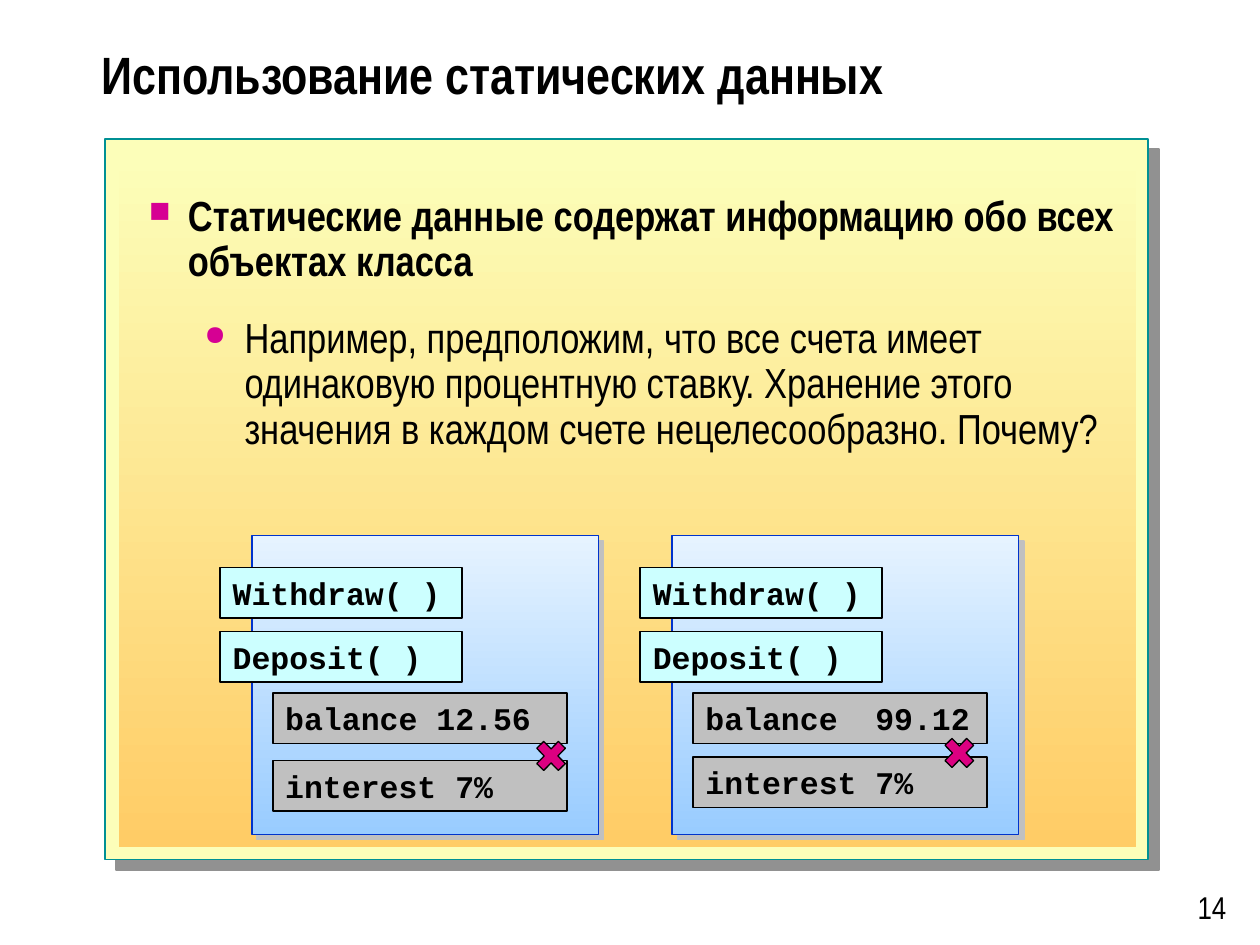
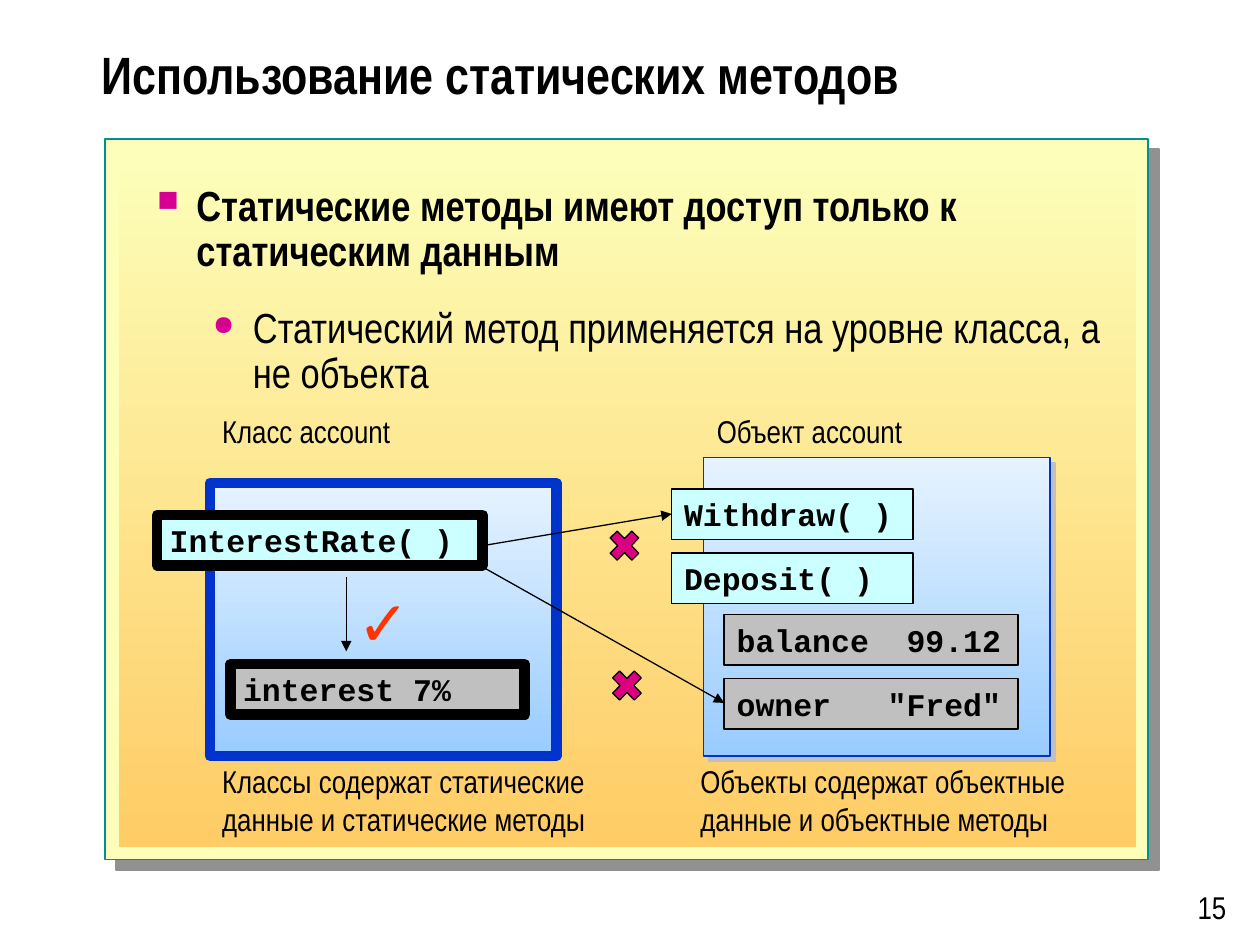
from lxml import etree
from pptx import Presentation, util as u
from pptx.dml.color import RGBColor
from pptx.enum import shapes, text
from pptx.oxml.ns import qn

COLORS = {
    "black": "000000", "panel": "FCFEB9", "panel_end": "FFCC66",
    "panel_line": "009094", "panel_shadow": "919191", "bullet": "D60093",
    "card": "E6F3FF", "card_end": "99CCFF", "card_line": "0033CC",
    "card_shadow": "C0C0C0", "method": "CCFFFF", "data": "C0C0C0",
    "cross": "DC0081", "check": "FF3300",
}
NARROW, MONO = "Arial Narrow", "Courier New"
ROW_HEIGHT, ROW_PITCH = 1.02, 1.29
METHOD_WIDTH, DATA_WIDTH = 4.87, 5.93
DATA_LEFT = 0.42
VALUE_TAB = 5.33
CARD_WIDTH, CARD_HEIGHT, CLASS_HEIGHT = 6.99, 6.02, 5.5


def rgb(name):
    return RGBColor.from_string(COLORS[name])


def lengths(*values):
    return [u.Cm(value) for value in values]


def add_element(parent, tag, **attributes):
    return etree.SubElement(parent, qn(tag), attributes)


def style_paragraph(paragraph, size, font=NARROW, bold=False, color="black"):
    paragraph.font.name = font
    paragraph.font.size = u.Pt(size)
    paragraph.font.bold = bold
    paragraph.font.color.rgb = rgb(color)


def add_box(slide, box, fill, line=None, width=1, gradient_end=None,
            shadow=None, kind=shapes.MSO_SHAPE.RECTANGLE):
    shape = slide.shapes.add_shape(kind, *lengths(*box))
    shape.shadow.inherit = False
    if gradient_end:
        shape.fill.gradient()
        shape.fill.gradient_angle = 270
        for stop, name in zip(shape.fill.gradient_stops, (fill, gradient_end)):
            stop.color.rgb = rgb(name)
    else:
        shape.fill.solid()
        shape.fill.fore_color.rgb = rgb(fill)
    if line:
        shape.line.color.rgb = rgb(line)
        shape.line.width = u.Pt(width)
    else:
        shape.line.fill.background()
    if shadow:
        name, distance = shadow
        effects = shape._element.spPr.find(qn("a:effectLst"))
        outer = add_element(effects, "a:outerShdw", blurRad="0", dist=str(u.Pt(distance)),
                            dir="2700000", algn="ctr", rotWithShape="0")
        add_element(outer, "a:srgbClr", val=COLORS[name])
    return shape


def add_text(slide, box, lines, size=18, font=NARROW, bold=False, color="black",
             align=None, wrap=False):
    frame = slide.shapes.add_textbox(*lengths(*box)).text_frame
    frame.word_wrap = wrap
    frame.text = "\n".join(lines)
    for paragraph in frame.paragraphs:
        paragraph.alignment = align
        style_paragraph(paragraph, size, font, bold, color)
    return frame


def add_bullet(paragraph, symbol, percent, left, hanging):
    properties = paragraph._p.get_or_add_pPr()
    properties.set("marL", str(u.Cm(left)))
    properties.set("indent", str(-u.Cm(hanging)))
    add_element(add_element(properties, "a:buClr"), "a:srgbClr", val=COLORS["bullet"])
    add_element(properties, "a:buSzPct", val=str(percent * 1000))
    add_element(properties, "a:buChar", char=symbol)


def add_body(slide, box, statement, detail):
    frame = slide.shapes.add_textbox(*lengths(*box)).text_frame
    frame.word_wrap = True
    frame.text = f"{statement}\n{detail}"
    first, second = frame.paragraphs
    add_bullet(first, "■", 70, 0.79, 0.79)
    add_bullet(second, "●", 65, 1.93, 0.81)
    second.space_before = u.Pt(18)
    for paragraph in (first, second):
        paragraph.line_spacing = 0.9
        style_paragraph(paragraph, 24, bold=paragraph is first)


def add_frame(presentation, title, number):
    slide = presentation.slides.add_slide(presentation.slide_layouts[6])
    add_box(slide, (2.12, 2.8, 21.03, 14.53), "panel", "panel_line",
            shadow=("panel_shadow", 8.5))
    add_box(slide, (2.4, 3.1, 20.5, 13.97), "panel", gradient_end="panel_end")
    heading = add_text(slide, (1.8, 0.43, 22.76, 2.34), [title], 30, bold=True, wrap=True)
    heading.vertical_anchor = text.MSO_ANCHOR.MIDDLE
    heading.paragraphs[0].line_spacing = 0.8
    add_text(slide, (22.86, 17.78, 2.11, 1.02), [str(number)],
             align=text.PP_ALIGN.RIGHT, wrap=True)
    return slide


def add_member(slide, left, top, width, label, fill, line_width=1):
    shape = add_box(slide, (left, top, width, ROW_HEIGHT), fill, "black", line_width)
    frame = shape.text_frame
    frame.word_wrap = True
    frame.vertical_anchor = text.MSO_ANCHOR.TOP
    frame.text = label
    paragraph = frame.paragraphs[0]
    paragraph.alignment = text.PP_ALIGN.LEFT
    if "\t" in label:
        tabs = add_element(paragraph._p.get_or_add_pPr(), "a:tabLst")
        add_element(tabs, "a:tab", pos=str(u.Cm(VALUE_TAB)), algn="r")
    style_paragraph(paragraph, 18, MONO, True)


def add_object_card(slide, left, top, data, data_pitch=ROW_PITCH):
    add_box(slide, (left, top, CARD_WIDTH, CARD_HEIGHT), "card", "card_line", 0.75,
            "card_end", ("card_shadow", 4.2))
    for row, label in enumerate(("Withdraw( )", "Deposit( )")):
        add_member(slide, left - 0.64, top + 0.64 + row * ROW_PITCH,
                   METHOD_WIDTH, label, "method")
    for row, label in enumerate(data):
        add_member(slide, left + DATA_LEFT, top + 3.17 + row * data_pitch,
                   DATA_WIDTH, label, "data")


def add_class_card(slide, left, top):
    add_box(slide, (left, top, CARD_WIDTH, CLASS_HEIGHT), "card", "card_line", 6, "card_end")
    add_member(slide, left - 1.06, top + 0.64, 6.56, "InterestRate( )", "method", 6)
    add_member(slide, left + DATA_LEFT, top + 3.65, DATA_WIDTH, "interest 7%", "data", 6)
    add_text(slide, (left + 2.73, top + 1.9, 1.55, 1.78), ["✓"], 36, "Arial", color="check")


def add_cross(slide, left, top):
    add_box(slide, (left, top, 0.84, 0.86), "cross", "black", 0.75,
            kind=shapes.MSO_SHAPE.MATH_MULTIPLY)


def add_arrow(slide, *ends):
    connector = slide.shapes.add_connector(shapes.MSO_CONNECTOR.STRAIGHT, *lengths(*ends))
    connector.line.color.rgb = rgb("black")
    connector.line.width = u.Pt(0.75)
    properties = connector._element.spPr
    add_element(properties.find(qn("a:ln")), "a:tailEnd", type="triangle")
    add_element(properties, "a:effectLst")


def build_static_data(presentation):
    slide = add_frame(presentation, "Использование статических данных", 14)
    add_body(slide, (2.75, 3.81, 20.57, 13.26),
             "Статические данные содержат информацию обо всех объектах класса",
             "Например, предположим, что все счета имеет одинаковую процентную ставку. "
             "Хранение этого значения в каждом счете нецелесообразно. Почему?")
    top = 10.8
    add_object_card(slide, 5.08, top, ("balance 12.56", "interest 7%"), 1.36)
    add_object_card(slide, 13.55, top, ("balance\t99.12", "interest 7%"))
    add_cross(slide, 10.69, top + 4.01)
    add_cross(slide, 18.92, top + 3.95)


def build_static_methods(presentation):
    slide = add_frame(presentation, "Использование статических методов", 15)
    add_body(slide, (2.92, 3.6, 20, 13.46),
             "Статические методы имеют доступ только к статическим данным",
             "Статический метод применяется на уровне класса, а не объекта")
    add_class_card(slide, 4.23, 9.74)
    add_object_card(slide, 14.18, 9.22, ("balance\t99.12", 'owner\t"Fred"'))
    for left, label in ((4.23, "Класс account"), (14.2, "Объект account")):
        add_text(slide, (left, 8.18, 4.4, 1.02), [label])
    notes = (
        (4.23, "Классы содержат статические", "данные и статические методы"),
        (13.87, "Объекты содержат объектные", "данные и объектные методы"),
    )
    for left, *lines in notes:
        add_text(slide, (left, 15.24, 8.05, 1.78), lines)
    add_arrow(slide, 6.98, 11.63, 6.98, 13.13)
    add_arrow(slide, 9.73, 11, 13.54, 10.36)
    add_arrow(slide, 9.73, 11.43, 14.6, 14.17)
    add_cross(slide, 12.17, 10.57)
    add_cross(slide, 12.22, 13.39)


def main():
    presentation = Presentation()
    presentation.slide_width, presentation.slide_height = lengths(25.4, 19.05)
    build_static_data(presentation)
    build_static_methods(presentation)
    presentation.save("out.pptx")


if __name__ == "__main__":
    main()
